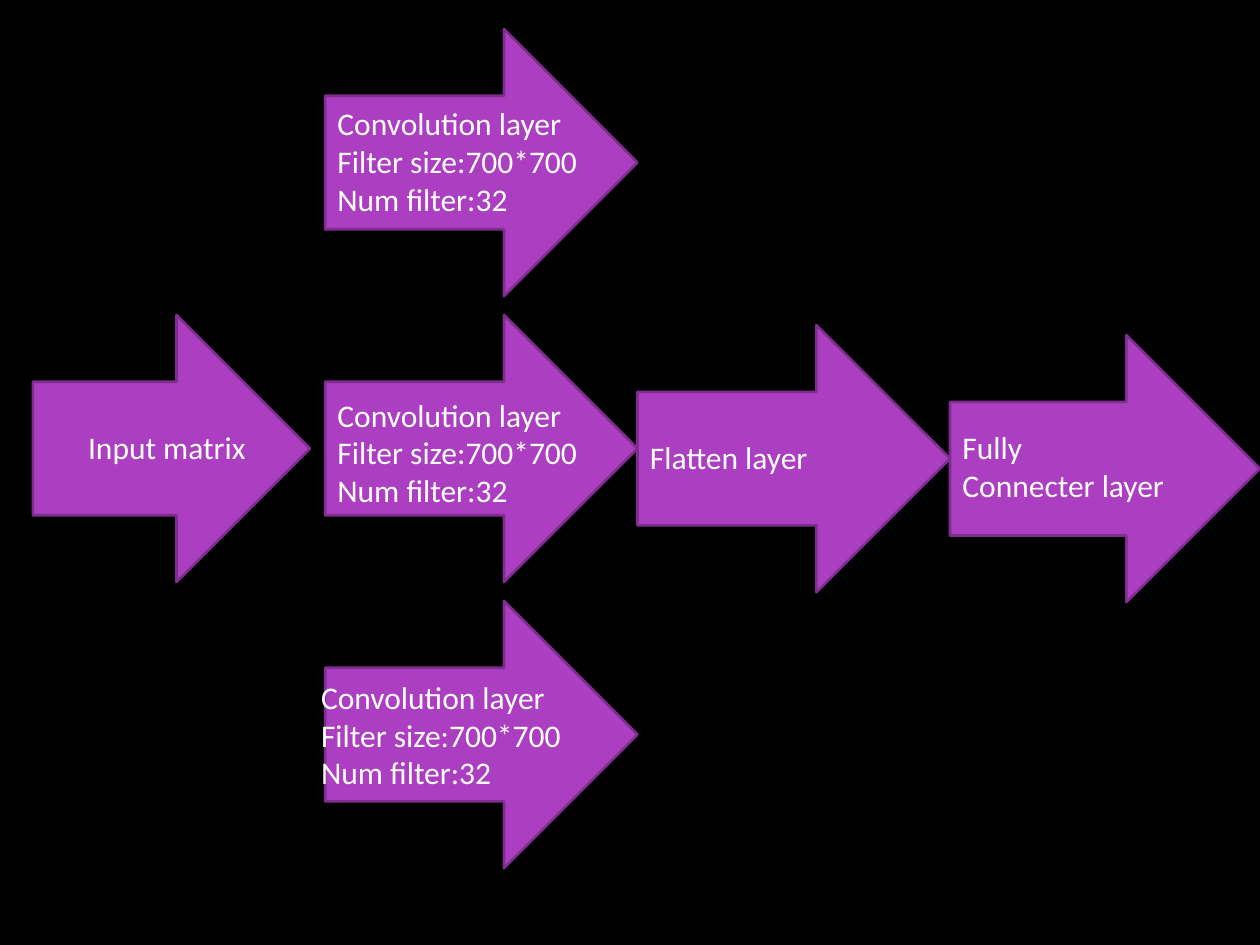
import pptx
import pptx.dml.color
import pptx.enum.shapes
import pptx.enum.text
import pptx.util

COLOURS = {"page": "000000", "arrow": "AC3EC1", "edge": "7F2E8F", "text": "FFFFFF"}
FONT = {"name": "Calibri", "size": pptx.util.Pt(18)}
FRAME = {
    "word_wrap": False,
    "auto_size": pptx.enum.text.MSO_AUTO_SIZE.SHAPE_TO_FIT_TEXT,
}
GRID = {"left": 2.58, "top": 0.23, "column": 2.48, "row": 2.27, "drop": 0.08}
ARROW_HEIGHT = 2.12
LINE_HEIGHT = 0.3
PADDING = 0.1
CONVOLUTION = ["Convolution layer", "Filter size:700*700", "Num filter:32"]


def colour(name):
    """Return the named colour of the palette."""
    return pptx.dml.color.RGBColor.from_string(COLOURS[name])


def place(column, row):
    """Return the corner of a grid cell, each later column sitting lower."""
    left = GRID["left"] + column * GRID["column"]
    top = GRID["top"] + row * GRID["row"] + max(column, 0) * GRID["drop"]
    return left, top


def inches(*lengths):
    """Convert lengths to slide units."""
    return [pptx.util.Inches(length) for length in lengths]


def apply(target, values):
    """Set attributes from a dict of format values."""
    for name, value in values.items():
        setattr(target, name, value)


def add_arrow(page, left, top, width):
    """Draw one block arrow for a network stage."""
    kind = pptx.enum.shapes.MSO_SHAPE.RIGHT_ARROW
    arrow = page.shapes.add_shape(kind, *inches(left, top, width, ARROW_HEIGHT))
    arrow.shadow.inherit = False
    arrow.fill.solid()
    arrow.fill.fore_color.rgb = colour("arrow")
    arrow.line.color.rgb = colour("edge")
    arrow.line.width = pptx.util.Pt(1.5)


def add_label(page, left, top, width, lines):
    """Write the lines of a stage label, one paragraph each."""
    height = PADDING + LINE_HEIGHT * len(lines)
    box = page.shapes.add_textbox(*inches(left, top, width, height))
    frame = box.text_frame
    apply(frame, FRAME)
    for index, line in enumerate(lines):
        para = frame.add_paragraph() if index else frame.paragraphs[0]
        span = para.add_run()
        span.text = line
        apply(span.font, FONT)
        span.font.color.rgb = colour("text")


def main():
    """Build the network diagram slide."""
    deck = pptx.Presentation()
    apply(deck, {"slide_width": pptx.util.Inches(10), "slide_height": pptx.util.Inches(7.5)})
    page = deck.slides.add_slide(deck.slide_layouts[6])
    page.background.fill.solid()
    page.background.fill.fore_color.rgb = colour("page")

    stages = [
        (-0.935, 1, 2.2, 0.34, 0.85, 1.47, ["Input matrix"]),
        (0, 0, 2.48, 0, 0.55, 2.13, CONVOLUTION),
        (0, 1, 2.48, 0, 0.59, 2.13, CONVOLUTION),
        (0, 2, 2.48, -0.13, 0.56, 2.13, CONVOLUTION),
        (1, 1, 2.48, 0, 0.85, 1.47, ["Flatten layer"]),
        (2, 1, 2.46, 0, 0.69, 1.82, ["Fully", "Connecter layer"]),
    ]
    for column, row, width, *_ in stages:
        add_arrow(page, *place(column, row), width)
    for column, row, _, indent, drop, width, lines in stages:
        left, top = place(column, row)
        add_label(page, left + indent, top + drop, width, lines)
    deck.save("out.pptx")


if __name__ == "__main__":
    main()
